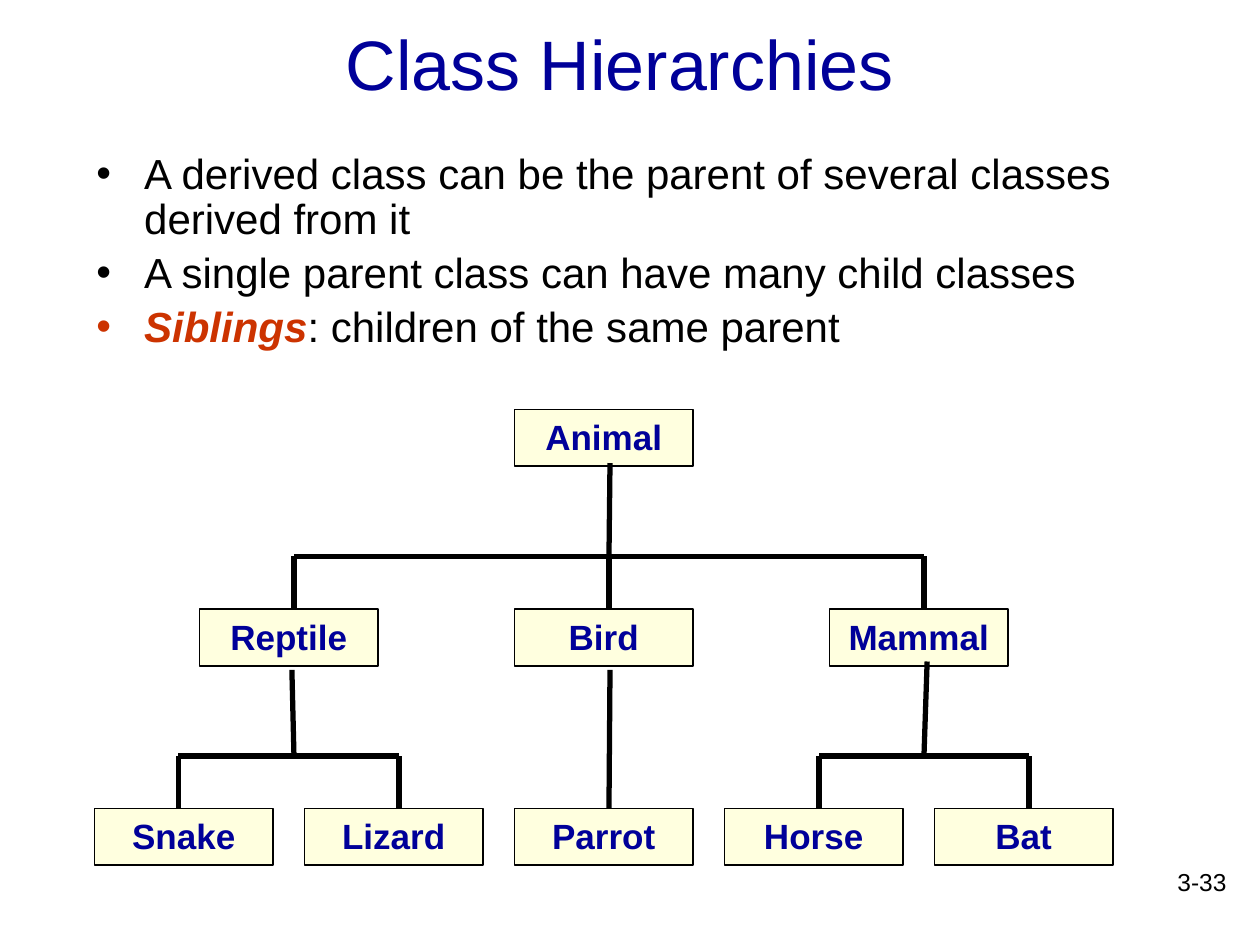
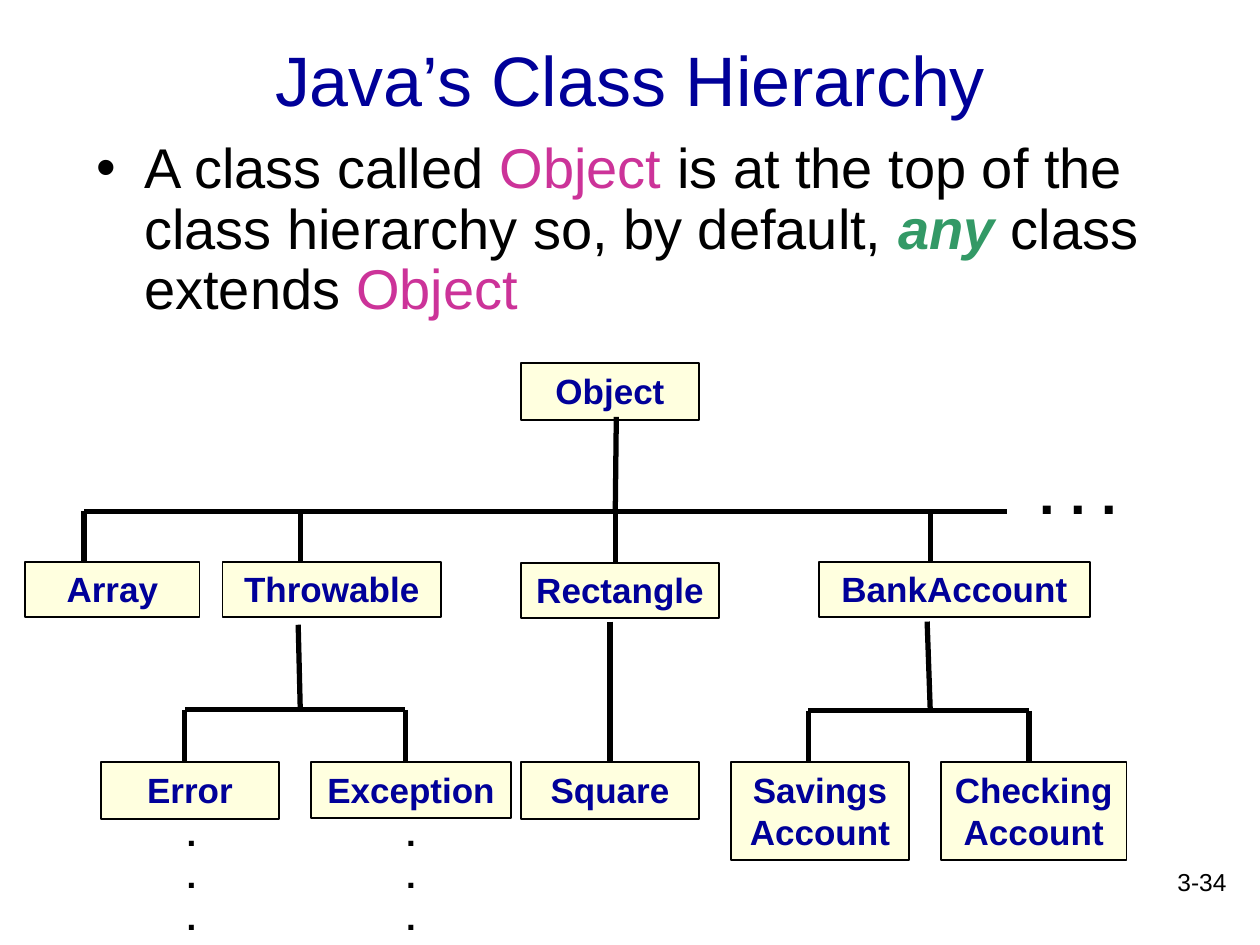
from lxml.etree import SubElement
from pptx import Presentation
from pptx.dml.color import RGBColor
from pptx.enum.shapes import MSO_CONNECTOR as Connector, MSO_SHAPE as Shape
from pptx.enum.text import MSO_ANCHOR as Anchor, MSO_AUTO_SIZE as AutoSize, PP_ALIGN as Align
from pptx.oxml.ns import qn
from pptx.util import Inches, Pt

COLOURS = {"ink": "000000", "navy": "000099", "cream": "FFFFDF",
           "red": "CC3300", "pink": "CC3399", "green": "339966"}
FONT = "Arial"
COLUMNS, ROWS = 120, 90
NODE_WIDTH, NODE_HEIGHT = 17, 5.4


def colour(name):
    return RGBColor.from_string(COLOURS[name])


class HierarchyDeck:
    """Places elements on a grid of 120 columns by 90 rows."""

    def __init__(self):
        self.deck = Presentation()
        self.deck.slide_width, self.deck.slide_height = Inches(10), Inches(7.5)
        self.page = None

    def x(self, columns):
        return round(self.deck.slide_width * columns / COLUMNS)

    def y(self, rows):
        return round(self.deck.slide_height * rows / ROWS)

    def area(self, left, top, width, height):
        return self.x(left), self.y(top), self.x(width), self.y(height)

    def new_page(self, number):
        self.page = self.deck.slides.add_slide(self.deck.slide_layouts[6])
        self.text((93, 82, 25, 6), [number], 14, align=Align.RIGHT)

    def span(self, para, words, size, ink="ink", bold=False, italic=False):
        run = para.add_run()
        run.text = words
        font = run.font
        font.name, font.size, font.bold, font.italic = FONT, Pt(size), bold, italic
        font.color.rgb = colour(ink)

    def text(self, area, lines, size, ink="ink", bold=False,
             align=Align.LEFT, anchor=Anchor.TOP, wrap=True):
        frame = self.page.shapes.add_textbox(*self.area(*area)).text_frame
        frame.word_wrap, frame.vertical_anchor = wrap, anchor
        for index, words in enumerate(lines):
            para = frame.add_paragraph() if index else frame.paragraphs[0]
            para.alignment = align
            self.span(para, words, size, ink, bold)

    def title(self, words, area):
        self.text(area, [words], 40, "navy", align=Align.CENTER, anchor=Anchor.MIDDLE)

    def bullets(self, area, size, items):
        """Each item is a list of (words, colour, emphasised) spans."""
        frame = self.page.shapes.add_textbox(*self.area(*area)).text_frame
        frame.word_wrap = True
        for index, spans in enumerate(items):
            para = frame.add_paragraph() if index else frame.paragraphs[0]
            para.line_spacing = 0.9
            para.space_before = Pt(size * 0.2 if index else 0)
            properties = para._p.get_or_add_pPr()
            properties.set("marL", str(Inches(0.38)))
            properties.set("indent", str(-Inches(0.38)))
            SubElement(properties, qn("a:buFont"), typeface=FONT)
            SubElement(properties, qn("a:buChar"), char="•")
            for words, ink, strong in spans:
                self.span(para, words, size, ink, strong, strong)

    def node(self, name, left, top, width=NODE_WIDTH, height=NODE_HEIGHT):
        box = self.page.shapes.add_shape(
            Shape.RECTANGLE, *self.area(left, top, width, height))
        box.shadow.inherit = False
        box.fill.solid()
        box.fill.fore_color.rgb = colour("cream")
        box.line.color.rgb, box.line.width = colour("ink"), Pt(1)
        frame = box.text_frame
        frame.word_wrap, frame.vertical_anchor = True, Anchor.TOP
        frame.auto_size = AutoSize.SHAPE_TO_FIT_TEXT
        para = frame.paragraphs[0]
        para.alignment = Align.CENTER
        for index, words in enumerate(name.split("\n")):
            if index:
                para.add_line_break()
            self.span(para, words, 20, "navy", True)
        return box

    def line(self, start, end, child=None):
        link = self.page.shapes.add_connector(
            Connector.STRAIGHT, self.x(start[0]), self.y(start[1]),
            self.x(end[0]), self.y(end[1]))
        link.line.color.rgb, link.line.width = colour("ink"), Pt(3)
        SubElement(link._element.spPr, qn("a:effectLst"))
        if child is not None:
            link.end_connect(child, 0)

    def fork(self, parent, trunk, bar, children, foot, bar_end=None):
        """Draw a trunk down to a bar, and a branch down to each child."""
        self.line(parent, (trunk, bar))
        self.line((bar_end or children[-1], bar), (children[0], bar))
        for child in children:
            self.line((child, bar), (child, foot))


def class_hierarchies(slides):
    slides.new_page("3-33")
    slides.title("Class Hierarchies", (9, 2, 100, 8))
    slides.bullets((8, 14, 101, 19), 24, [
        [("A derived class can be the parent of several classes derived from it",
          "ink", False)],
        [("A single parent class can have many child classes", "ink", False)],
        [("Siblings", "red", True), (": children of the same parent", "ink", False)]])

    slides.node("Animal", 49, 39)
    for index, name in enumerate(["Reptile", "Bird", "Mammal"]):
        slides.node(name, 19 + 30 * index, 58)
    for index, name in enumerate(["Snake", "Lizard", "Parrot", "Horse", "Bat"]):
        slides.node(name, 9 + 20 * index, 77)

    slides.fork((58.1, 44.1), 58, 53, [28, 58, 88], 58)
    slides.fork((27.8, 63.8), 28, 72, [17, 38], 77)
    slides.fork((88.3, 63), 88, 72, [78, 98], 77)
    slides.line((58.1, 63.8), (58, 77))


def java_hierarchy(slides):
    slides.new_page("3-34")
    slides.title("Java’s Class Hierarchy", (9, 0, 102, 15))
    slides.bullets((8, 12.8, 106, 66), 32, [
        [("A class called ", "ink", False), ("Object", "pink", False),
         (" is at the top of the class hierarchy so, by default, ", "ink", False),
         ("any", "green", True), (" class extends ", "ink", False),
         ("Object", "pink", False)]])

    slides.node("Object", 49.6, 34.6)
    for name, left, top, width in [("Array", 2.4, 53.5, 16.6), ("Throwable", 21.2, 53.5, 20.8),
                                   ("Rectangle", 49.6, 53.6, 18.9),
                                   ("BankAccount", 78, 53.5, 25.8)]:
        slides.node(name, left, top, width, 5.3)
    leaves = [("Error", 17, 5.4), ("Exception", 19.1, 5.3), ("Square", 17, 5.4),
              ("Savings\nAccount", 17, 9.3), ("Checking\nAccount", 17.7, 9.3)]
    boxes = {name: slides.node(name, 9.6 + 20 * index, 72.6, width, height)
             for index, (name, width, height) in enumerate(leaves)}

    slides.fork((58.7, 39.7), 58.6, 48.7, [8, 28.6, 58.6, 88.6], 53.5, bar_end=95.9)
    slides.fork((28.4, 59.5), 28.6, 67.6, [17.6, 38.6], 72.6)
    slides.fork((88.3, 59.2), 88.6, 67.7, [77, 98], 72.7)
    slides.line((58.1, 59.2), (58.1, 72.6), child=boxes["Square"])

    slides.text((97.8, 43.1, 9.8, 7.7), [". . ."], 32, bold=True, wrap=False)
    for left, width in [(16.6, 3.4), (37.5, 4.5)]:
        slides.text((left, 76.7, width, 13.3), ["."] * 3, 20, bold=True)


def main():
    slides = HierarchyDeck()
    class_hierarchies(slides)
    java_hierarchy(slides)
    slides.deck.save("out.pptx")


if __name__ == "__main__":
    main()
